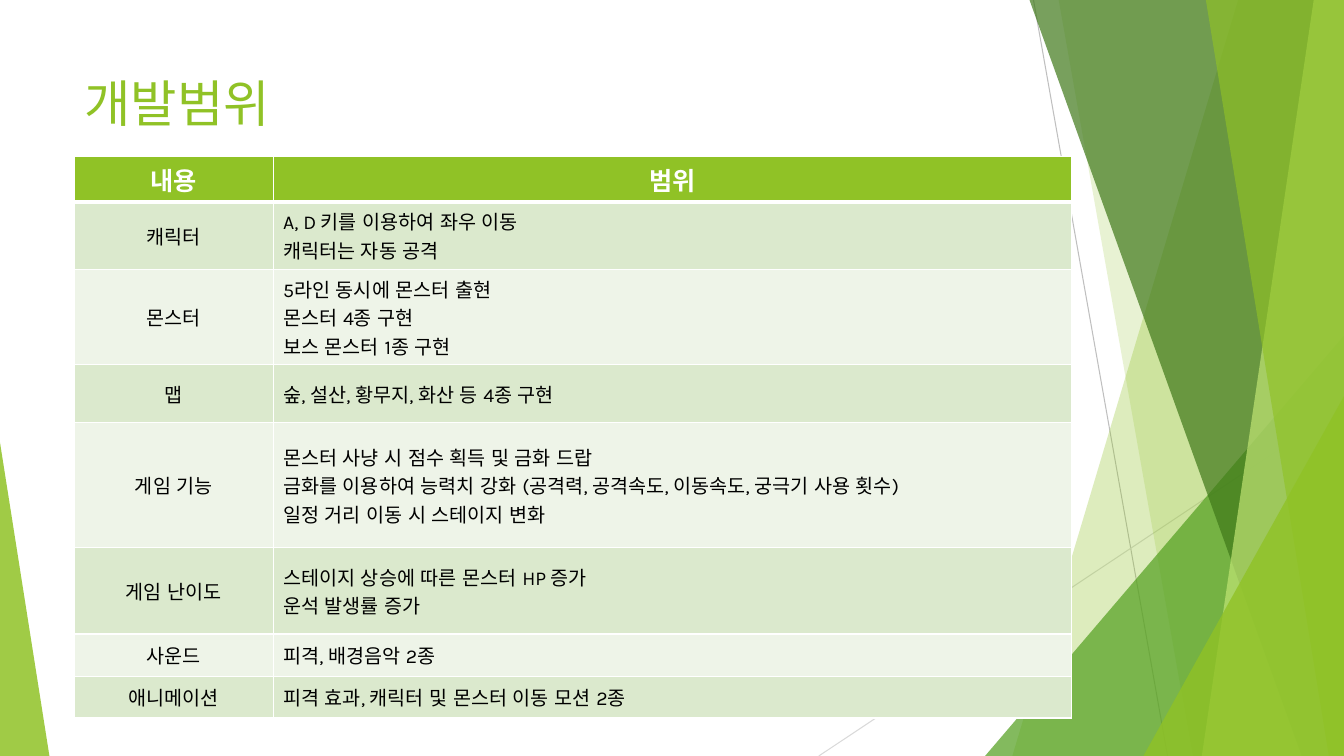
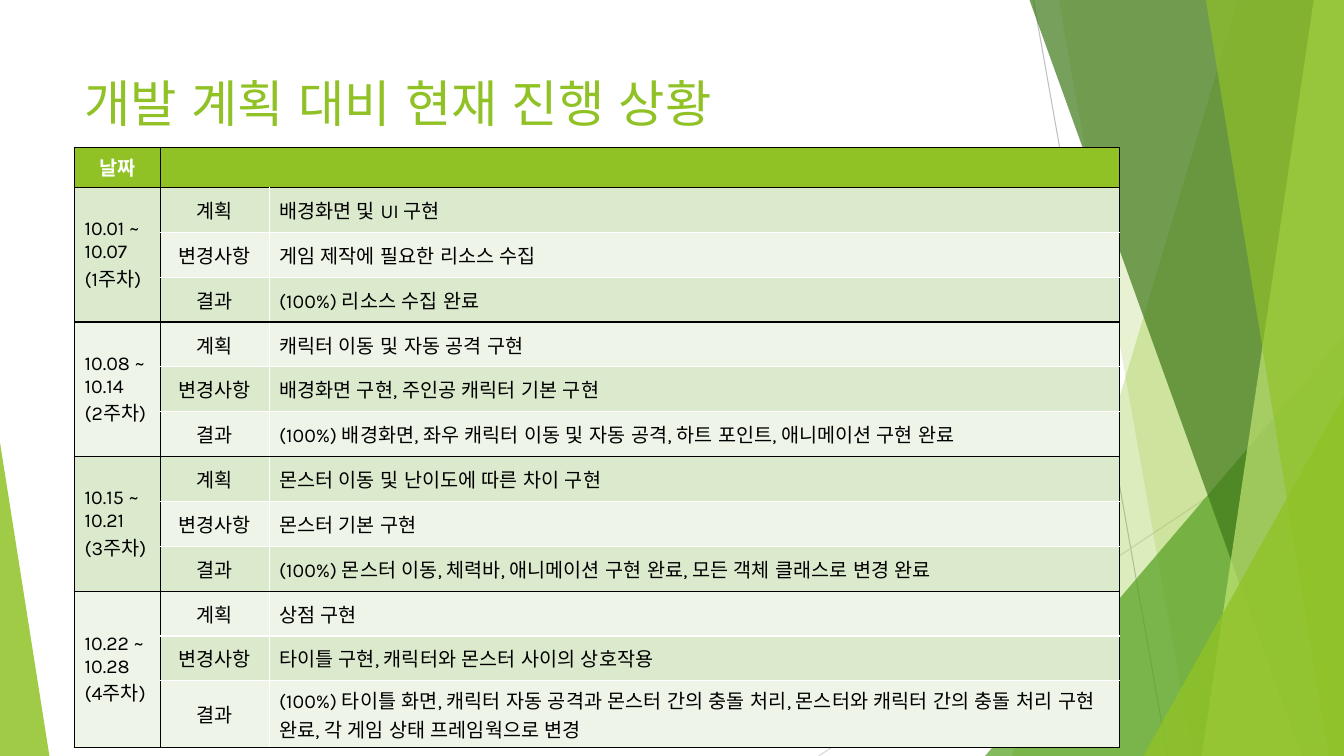
from lxml.etree import SubElement
from pptx import Presentation
from pptx.dml.color import RGBColor
from pptx.enum.lang import MSO_LANGUAGE_ID as Language
from pptx.enum.shapes import MSO_CONNECTOR as Connector, MSO_SHAPE as Shape
from pptx.enum.text import MSO_ANCHOR as Anchor, PP_ALIGN as Align
from pptx.oxml.ns import qn
from pptx.util import Inches, Pt

WHITE = RGBColor(0xFF, 0xFF, 0xFF)
BLACK = RGBColor(0x00, 0x00, 0x00)
GREEN = RGBColor(0x90, 0xC2, 0x26)
LEAF = RGBColor(0x54, 0xA0, 0x21)
FOREST = RGBColor(0x3F, 0x78, 0x19)
LIME = RGBColor(0xC0, 0xE4, 0x74)
GRAY = RGBColor(0xBF, 0xBF, 0xBF)
PALE_GRAY = RGBColor(0xD9, 0xD9, 0xD9)
ROW_DARK = RGBColor(0xDB, 0xE9, 0xCD)
ROW_LIGHT = RGBColor(0xEE, 0xF4, 0xE8)
FONT = "Karla"

UNIT = Inches(0.1)
COLUMNS, ROWS = 133.33, 75
SLIDE_BOX = (0, 0, COLUMNS, ROWS)
TITLE_BOX = (7.4, 6.7, 94, 14.4)

SCOPE = [
    ("내용", "범위"),
    ("캐릭터", "A, D 키를 이용하여 좌우 이동\n캐릭터는 자동 공격"),
    ("몬스터", "5라인 동시에 몬스터 출현\n몬스터 4종 구현\n보스 몬스터 1종 구현"),
    ("맵", "숲, 설산, 황무지, 화산 등 4종 구현"),
    ("게임 기능", "몬스터 사냥 시 점수 획득 및 금화 드랍\n"
     "금화를 이용하여 능력치 강화 (공격력, 공격속도, 이동속도, 궁극기 사용 횟수)\n"
     "일정 거리 이동 시 스테이지 변화"),
    ("게임 난이도", "스테이지 상승에 따른 몬스터 HP 증가\n운석 발생률 증가"),
    ("사운드", "피격, 배경음악 2종"),
    ("애니메이션", "피격 효과, 캐릭터 및 몬스터 이동 모션 2종"),
]
SCOPE_ROWS = [4.55, 6.65, 9.5, 5.75, 12.4, 8.55, 4.2, 4.15]

STAGES = ["계획", "변경사항", "결과"]
WEEKS = [
    ("10.01 ~ 10.07\n(1주차)", [
        "배경화면 및 UI 구현",
        "게임 제작에 필요한 리소스 수집",
        "(100%) 리소스 수집 완료"]),
    ("10.08 ~ 10.14\n(2주차)", [
        "캐릭터 이동 및 자동 공격 구현",
        "배경화면 구현, 주인공 캐릭터 기본 구현",
        "(100%) 배경화면, 좌우 캐릭터 이동 및 자동 공격, 하트 포인트, 애니메이션 구현 완료"]),
    ("10.15 ~ 10.21\n(3주차)", [
        "몬스터 이동 및 난이도에 따른 차이 구현",
        "몬스터 기본 구현",
        "(100%) 몬스터 이동, 체력바, 애니메이션 구현 완료, 모든 객체 클래스로 변경 완료"]),
    ("10.22 ~ 10.28\n(4주차)", [
        "상점 구현",
        "타이틀 구현, 캐릭터와 몬스터 사이의 상호작용",
        "(100%) 타이틀 화면, 캐릭터 자동 공격과 몬스터 간의 충돌 처리, "
        "몬스터와 캐릭터 간의 충돌 처리 구현 완료, 각 게임 상태 프레임웍으로 변경"]),
]


def grid(*lengths):
    return [round(length * UNIT) for length in lengths]


def write_text(frame, text, size=14, color=BLACK, bold=False, align=Align.LEFT):
    for index, line in enumerate(text.split("\n")):
        paragraph = frame.add_paragraph() if index else frame.paragraphs[0]
        paragraph.alignment = align
        run = paragraph.add_run()
        run.text = line
        font = run.font
        font.name, font.size, font.bold = FONT, Pt(size), bold
        font.color.rgb = color
        font.language_id = Language.KOREAN


def paint(shape, color, opacity):
    shape.shadow.inherit = False
    shape.fill.solid()
    shape.fill.fore_color.rgb = color
    shape.line.fill.background()
    color_element = shape.fill._xPr.find(qn("a:solidFill"))[0]
    SubElement(color_element, qn("a:alpha"), val=str(opacity * 1000))


def add_line(slide, start, end, color):
    line = slide.shapes.add_connector(Connector.STRAIGHT, *grid(*start, *end))
    line.line.color.rgb = color
    line.line.width = Pt(0.75)
    SubElement(line._element.spPr, qn("a:effectLst"))


def add_band(slide, box, top_inset, bottom_inset, color, opacity):
    left, top, width, height = box
    right, bottom = left + width, top + height
    corners = [(right - top_inset, top), (right, top), (right, bottom),
               (right - bottom_inset, bottom)]
    points = [grid(*corner) for corner in corners]
    builder = slide.shapes.build_freeform(*points[0])
    builder.add_line_segments(points[1:], close=True)
    paint(builder.convert_to_shape(), color, opacity)


def add_triangle(slide, box, width, height, color, opacity, at_right=True):
    left, top, box_width, box_height = box
    x = left + box_width - width if at_right else left
    shape = slide.shapes.add_shape(
        Shape.ISOSCELES_TRIANGLE, *grid(x, top + box_height - height, width, height))
    shape.adjustments[0] = 1 if at_right else 0
    paint(shape, color, opacity)


def add_facets(slide, box):
    left, top, width, height = box
    right, bottom = left + width, top + height
    add_line(slide, (right - 30.8, top), (right - 17.5, bottom), GRAY)
    add_line(slide, (right, top + 40.3), (right - 52.1, bottom), PALE_GRAY)
    add_band(slide, box, 10.5, 32.9, GREEN, 30)
    add_band(slide, box, 28.3, 15, GREEN, 20)
    add_triangle(slide, box, 35.6, 41.7, LEAF, 72)
    add_band(slide, box, 31.2, 4.2, FOREST, 70)
    add_band(slide, box, 3, 14.1, LIME, 70)
    add_band(slide, box, 13.7, 1.5, GREEN, 65)
    add_triangle(slide, box, 19.9, 35.7, GREEN, 80)
    add_triangle(slide, box, 4.9, 31.1, GREEN, 85, at_right=False)


def add_title(slide, box, text):
    frame = slide.shapes.add_textbox(*grid(*box)).text_frame
    frame.word_wrap = True
    frame.vertical_anchor = Anchor.TOP
    write_text(frame, text, size=36, color=GREEN)


def add_grid_table(slide, corner, widths, heights):
    table = slide.shapes.add_table(
        len(heights), len(widths),
        *grid(*corner, sum(widths), sum(heights))).table
    table.first_row = table.horz_banding = False
    for column, width in zip(table.columns, grid(*widths)):
        column.width = width
    for row, height in zip(table.rows, grid(*heights)):
        row.height = height
    return table


def set_borders(cell, **sides):
    properties = cell._tc.get_or_add_tcPr()
    for side in "LRTB":
        color, width = sides[side]
        line = SubElement(properties, qn(f"a:ln{side}"), w=str(Pt(width)))
        fill = SubElement(line, qn("a:solidFill"))
        SubElement(fill, qn("a:srgbClr"), val=str(color))


def fill_cell(cell, row):
    cell.fill.solid()
    cell.fill.fore_color.rgb = (ROW_DARK if row % 2 else ROW_LIGHT) if row else GREEN


def add_scope_table(slide, corner):
    table = add_grid_table(slide, corner, [19.7, 79.2], SCOPE_ROWS)
    for row, texts in enumerate(SCOPE):
        for column, text in enumerate(texts):
            cell = table.cell(row, column)
            thin, thick = (WHITE, 1), (WHITE, 3)
            set_borders(cell, L=thin, R=thin, T=thick if row == 1 else thin,
                        B=thin if row else thick)
            fill_cell(cell, row)
            if row == 0:
                write_text(cell.text_frame, text, size=18, color=WHITE,
                           bold=True, align=Align.CENTER)
            else:
                cell.vertical_anchor = Anchor.MIDDLE
                write_text(cell.text_frame, text,
                           align=Align.LEFT if column else Align.CENTER)


def progress_borders(row, column):
    black, white = (BLACK, 1), (WHITE, 1)
    if row == 0 or column == 0:
        return dict.fromkeys("LRTB", black)
    return {"L": black if column == 1 else white,
            "R": black if column == 2 else white,
            "T": black if row % 3 == 1 else white,
            "B": black if row % 3 == 0 else white}


def add_progress_table(slide, corner):
    rows = [("날짜", "", "")]
    for date, results in WEEKS:
        rows += [("" if index else date, stage, result)
                 for index, (stage, result) in enumerate(zip(STAGES, results))]
    table = add_grid_table(slide, corner, [8.5, 10.8, 84.4],
                           [3.85] + [4.45] * (len(rows) - 2) + [6.65])
    for row, texts in enumerate(rows):
        for column, text in enumerate(texts):
            cell = table.cell(row, column)
            set_borders(cell, **progress_borders(row, column))
            fill_cell(cell, row if column else (row + 2) // 3)
            cell.vertical_anchor = Anchor.MIDDLE
            centered = row == 0 or column == 1
            write_text(cell.text_frame, text, color=BLACK if row else WHITE,
                       bold=row == 0, align=Align.CENTER if centered else Align.LEFT)
    table.cell(0, 1).merge(table.cell(0, 2))
    for first in range(1, len(rows), len(STAGES)):
        table.cell(first, 0).merge(table.cell(first + len(STAGES) - 1, 0))


def add_table_slide(presentation, title, add_table, corner):
    slide = presentation.slides.add_slide(presentation.slide_layouts[6])
    add_facets(slide, SLIDE_BOX)
    add_title(slide, TITLE_BOX, title)
    add_table(slide, corner)


def main():
    presentation = Presentation()
    presentation.slide_width, presentation.slide_height = grid(COLUMNS, ROWS)
    add_table_slide(presentation, "개발범위", add_scope_table, (7.4, 15.5))
    add_table_slide(presentation, "개발 계획 대비 현재 진행 상황",
                    add_progress_table, (7.4, 14.6))
    presentation.save("out.pptx")


if __name__ == "__main__":
    main()
